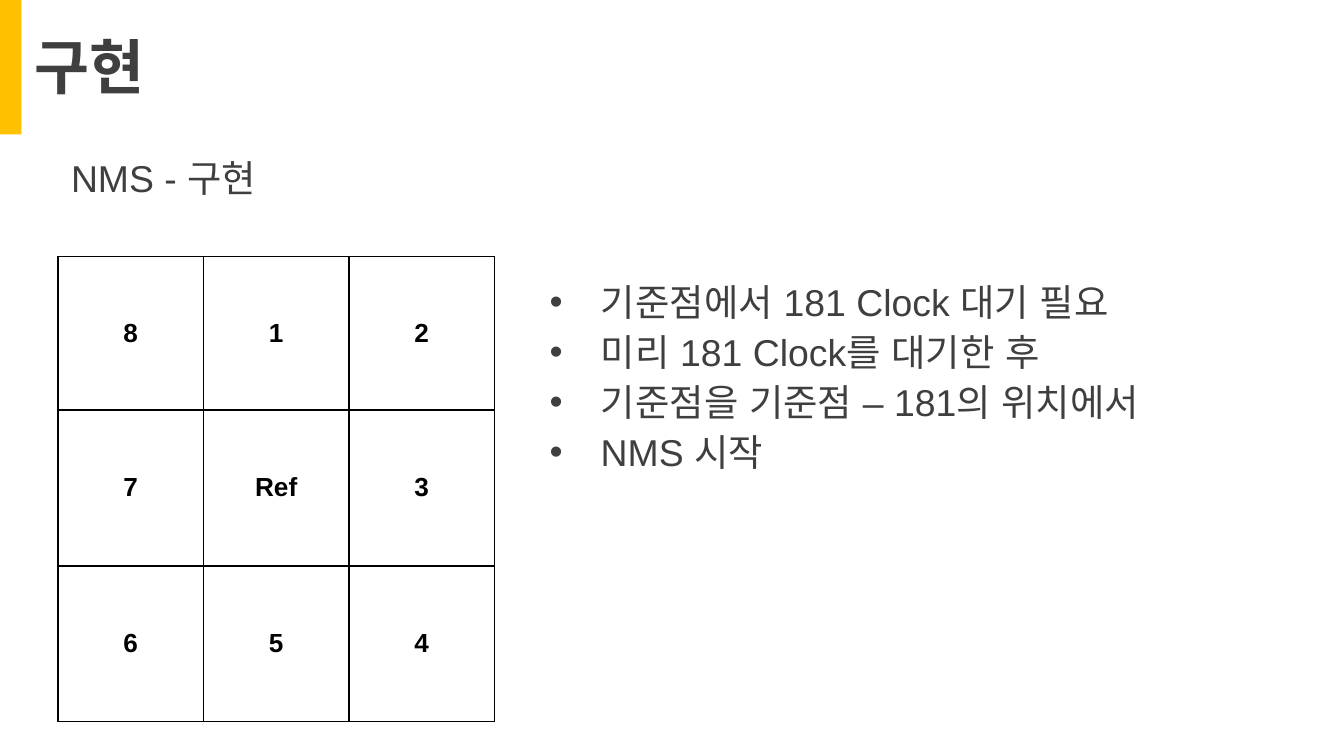
import pptx
import pptx.util
import pptx.dml.color
import pptx.enum.shapes
import pptx.enum.text
import pptx.oxml.ns
import lxml.etree

Inches = pptx.util.Inches
Pt = pptx.util.Pt
Anchor = pptx.enum.text.MSO_ANCHOR
qn = pptx.oxml.ns.qn


def color(value):
    return pptx.dml.color.RGBColor.from_string(value)


def write_text(frame, lines, size, tone, bold=False, space=0):
    frame.word_wrap = True
    for index, line in enumerate(lines):
        para = frame.paragraphs[0] if index == 0 else frame.add_paragraph()
        para.text = line
        para.space_before = Pt(space)
        para.font.name = "Arial"
        para.font.size = Pt(size)
        para.font.bold = bold
        para.font.color.rgb = color(tone)
        latin = para._p.pPr.find(f".//{qn('a:latin')}")
        latin.addnext(latin.makeelement(qn("a:ea"), {"typeface": "Arial"}))


deck = pptx.Presentation()
deck.slide_width = Inches(10)
deck.slide_height = Inches(10 * 9 / 16)
page = deck.slides.add_slide(deck.slide_layouts[6])

accent = page.shapes.add_shape(
    pptx.enum.shapes.MSO_SHAPE.RECTANGLE, 0, 0, Inches(0.16), Inches(1))
accent.shadow.inherit = False
accent.fill.solid()
accent.fill.fore_color.rgb = color("FFC000")
accent.line.fill.background()

title = page.shapes.add_textbox(Inches(0.16), 0, Inches(9.84), Inches(0.97))
title.text_frame.vertical_anchor = Anchor.MIDDLE
write_text(title.text_frame, ["구현"], 32, "3F3F3F", bold=True)

subtitle = page.shapes.add_textbox(Inches(0.43), Inches(1.24), Inches(9.29), Inches(0.5))
subtitle.text_frame.vertical_anchor = Anchor.BOTTOM
subtitle.text_frame.margin_top = 0
subtitle.text_frame.margin_bottom = Inches(0.25)
write_text(subtitle.text_frame, ["NMS - 구현"], 20, "3F3F3F")

steps = [
    "기준점에서 181 Clock 대기 필요",
    "미리 181 Clock를 대기한 후",
    "기준점을 기준점 – 181의 위치에서",
    "NMS 시작",
]
body = page.shapes.add_textbox(Inches(3.66), Inches(2.03), Inches(5.98), Inches(3.23))
body.text_frame.margin_left = Inches(0.43)
write_text(body.text_frame, steps, 20, "3F3F3F", space=2.8)
for para in body.text_frame.paragraphs:
    props = para._p.get_or_add_pPr()
    props.set("marL", str(Inches(0.38)))
    props.set("indent", str(-Inches(0.38)))
    bullet = props.makeelement(qn("a:buChar"), {"char": "•"})
    props.find(qn("a:spcBef")).addnext(bullet)
    bullet.addprevious(props.makeelement(qn("a:buFont"), {"typeface": "Arial"}))

neighbors = [["8", "1", "2"], ["7", "Ref", "3"], ["6", "5", "4"]]
grid = page.shapes.add_table(
    3, 3, Inches(0.43), Inches(1.91), Inches(3.25), Inches(3.46)).table
for column in grid.columns:
    column.width = Inches(3.25 / 3)
for row, height in zip(grid.rows, [1.14, 1.16, 1.16]):
    row.height = Inches(height)
for row, labels in zip(grid.rows, neighbors):
    for cell, label in zip(row.cells, labels):
        write_text(cell.text_frame, [label], 14, "000000", bold=True)
        cell.text_frame.paragraphs[0].alignment = pptx.enum.text.PP_ALIGN.CENTER
        cell.vertical_anchor = Anchor.MIDDLE
        props = cell._tc.get_or_add_tcPr()
        for side in ["lnL", "lnR", "lnT", "lnB"]:
            border = lxml.etree.SubElement(props, qn(f"a:{side}"), w=str(Pt(1)))
            paint = lxml.etree.SubElement(border, qn("a:solidFill"))
            lxml.etree.SubElement(paint, qn("a:srgbClr"), val="000000")
        cell.fill.solid()
        cell.fill.fore_color.rgb = color("FFFFFF")

deck.save("out.pptx")
